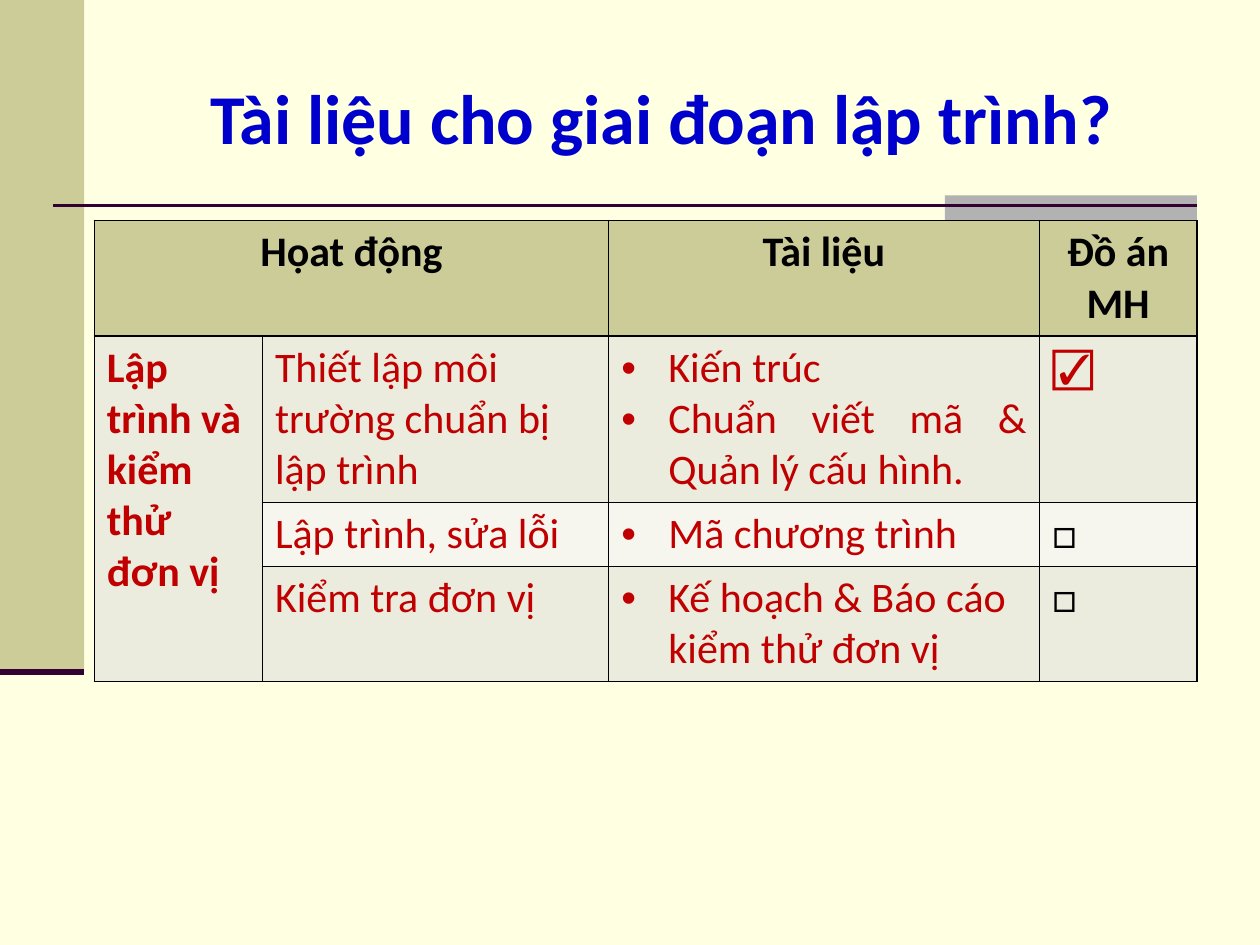
from lxml.etree import SubElement
from pptx import Presentation
from pptx.dml.color import RGBColor
from pptx.enum.shapes import MSO_CONNECTOR, MSO_SHAPE
from pptx.enum.text import MSO_ANCHOR, PP_ALIGN
from pptx.oxml import parse_xml
from pptx.oxml.ns import nsdecls, qn
from pptx.util import Cm, Pt

COLORS = {
    "paper": "FFFFE1", "khaki": "CCCC99", "gray": "B2B2B2", "plum": "330033",
    "title": "0000CC", "black": "000000", "red": "C00000",
    "band": "ECECDE", "light": "F6F6EF",
}


def color(name):
    return RGBColor.from_string(COLORS[name])


def write(para, text, size=24, ink="red", bold=False, align=PP_ALIGN.LEFT, bullet=False):
    para.alignment = align
    span = para.add_run()
    span.text = text
    span.font.name = "Calibri"
    span.font.size = Pt(size)
    span.font.bold = bold
    span.font.color.rgb = color(ink)
    if bullet:
        properties = para._p.get_or_add_pPr()
        properties.set("marL", str(Cm(0.95)))
        properties.set("indent", str(-Cm(0.95)))
        SubElement(properties, qn("a:buFont")).set("typeface", "Arial")
        SubElement(properties, qn("a:buChar")).set("char", "•")


class Slide:
    def __init__(self, deck):
        self.page = deck.slides.add_slide(deck.slide_layouts[6])
        self.page.background.fill.solid()
        self.page.background.fill.fore_color.rgb = color("paper")

    def block(self, left, top, width, height, fill):
        box = self.page.shapes.add_shape(
            MSO_SHAPE.RECTANGLE, Cm(left), Cm(top), Cm(width), Cm(height))
        box.shadow.inherit = False
        box.fill.solid()
        box.fill.fore_color.rgb = color(fill)
        box.line.fill.background()

    def rule(self, left, right, y, width):
        line = self.page.shapes.add_connector(
            MSO_CONNECTOR.STRAIGHT, Cm(left), Cm(y), Cm(right), Cm(y))
        line.line.color.rgb = color("plum")
        line.line.width = Pt(width)
        SubElement(line._element.spPr, qn("a:effectLst"))

    def title(self, left, top, width, height, text):
        box = self.page.shapes.add_textbox(Cm(left), Cm(top), Cm(width), Cm(height))
        frame = box.text_frame
        frame.word_wrap = True
        frame.vertical_anchor = MSO_ANCHOR.MIDDLE
        write(frame.paragraphs[0], text, size=40, ink="title", bold=True,
              align=PP_ALIGN.CENTER)

    def table(self, left, top, widths, heights, fills):
        table = self.page.shapes.add_table(
            len(heights), len(widths), Cm(left), Cm(top),
            Cm(sum(widths)), Cm(sum(heights))).table
        for column, width in zip(table.columns, widths):
            column.width = Cm(width)
        for row, height, fill in zip(table.rows, heights, fills):
            row.height = Cm(height)
            for cell in row.cells:
                cell.fill.solid()
                cell.fill.fore_color.rgb = color(fill)
                self.border(cell)
        return table

    def border(self, cell):
        properties = cell._tc.get_or_add_tcPr()
        for place, side in enumerate(("lnL", "lnR", "lnT", "lnB")):
            properties.insert(place, parse_xml(
                f'<a:{side} {nsdecls("a")} w="{Pt(1)}"><a:solidFill>'
                f'<a:srgbClr val="{COLORS["black"]}"/></a:solidFill></a:{side}>'))

    def cell(self, table, row, column, *lines, **style):
        frame = table.cell(row, column).text_frame
        for number, text in enumerate(lines):
            para = frame.add_paragraph() if number else frame.paragraphs[0]
            write(para, text, **style)


deck = Presentation()
deck.slide_width, deck.slide_height = Cm(25.4), Cm(19.05)
slide = Slide(deck)
slide.block(0, 0, 1.7, 13.54, "khaki")
slide.block(19.05, 3.94, 6.35 - 1.27, 0.51, "gray")
slide.rule(1.07, 24.13, 4.14, 1.5)
slide.rule(0, 1.7, 13.54, 3.5)
slide.title(2.54, 0.76, 21.59, 3.18, "Tài liệu cho giai đoạn lập trình?")

table = slide.table(1.9, 4.45, [3.39, 6.98, 8.68, 3.18], [2.32, 3.36, 1.29, 2.32],
                    ["khaki", "band", "light", "band"])
table.cell(0, 0).merge(table.cell(0, 1))
table.cell(1, 0).merge(table.cell(3, 0))

for column, heading in ((0, "Họat động"), (2, "Tài liệu"), (3, "Đồ án MH")):
    slide.cell(table, 0, column, heading, ink="black", bold=True, align=PP_ALIGN.CENTER)
slide.cell(table, 1, 0, "Lập trình và kiểm thử đơn vị", bold=True)

activities = [
    ("Thiết lập môi trường chuẩn bị lập trình",
     ["Kiến trúc", "Chuẩn viết mã & Quản lý cấu hình."], PP_ALIGN.JUSTIFY, "☑", "red"),
    ("Lập trình, sửa lỗi", ["Mã chương trình"], PP_ALIGN.LEFT, "□", "black"),
    ("Kiểm tra đơn vị", ["Kế hoạch & Báo cáo kiểm thử đơn vị"], PP_ALIGN.LEFT, "□", "black"),
]
for row, (activity, documents, align, mark, ink) in enumerate(activities, 1):
    slide.cell(table, row, 1, activity)
    slide.cell(table, row, 2, *documents, align=align, bullet=True)
    slide.cell(table, row, 3, mark, ink=ink)

deck.save("out.pptx")
